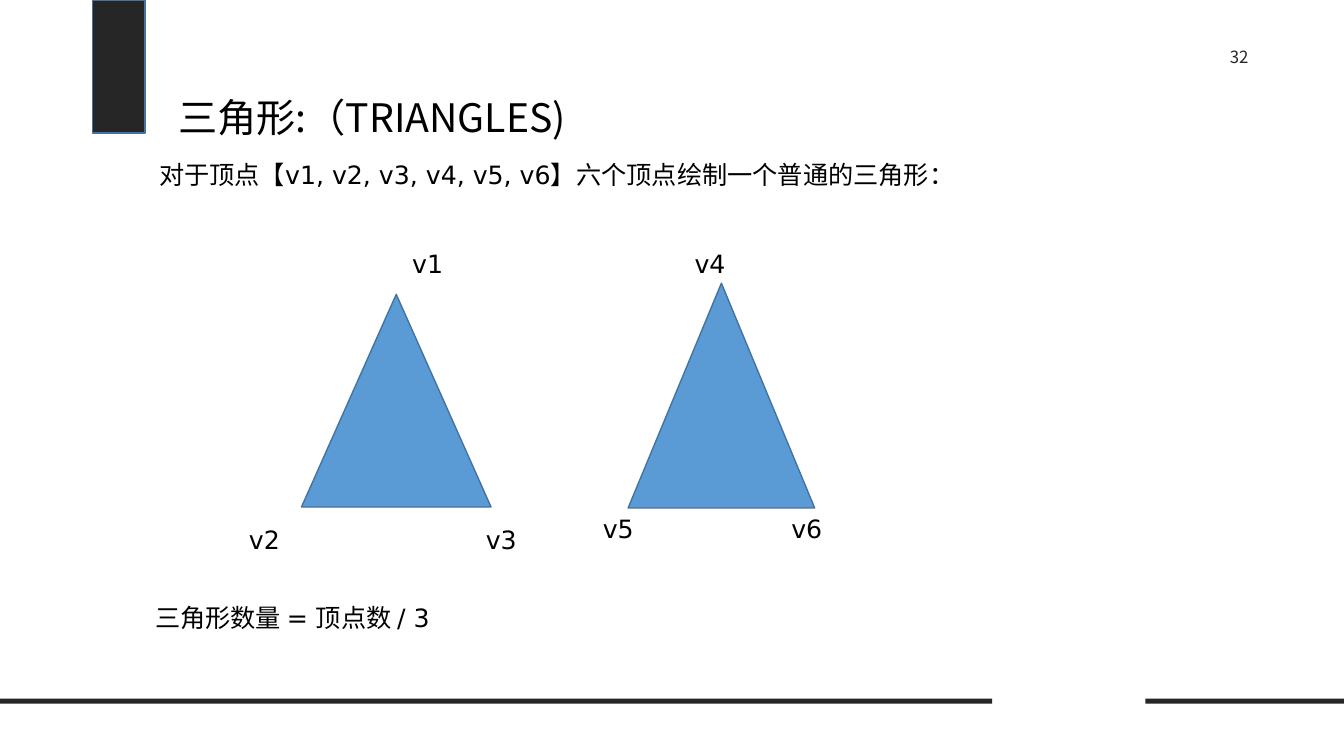
"""Build the slide on drawing separate triangles from six vertices."""
from pptx import Presentation
from pptx.dml.color import RGBColor
from pptx.enum import shapes as sh, text as tx
from pptx.oxml import ns
from pptx.util import Inches, Pt

SANS, CJK = "DejaVu Sans", "Noto Sans CJK SC"
DARK, BLUE, EDGE, BLACK = "262626", "5B9BD5", "43739E", "000000"
TITLE = "三角形:（TRIANGLES)"
BARS = [
    ((0.92, 0, 0.52, 1.32), EDGE),
    ((0, 6.93, 9.84, 0.05), None),
    ((11.36, 6.93, 1.97, 0.05), None),
]
TRIS = [(2.99, 2.92, 1.88, 2.11), (6.23, 2.81, 1.85, 2.23)]
LINES = [
    ("对于顶点【v1, v2, v3, v4, v5, v6】六个顶点绘制一个普通的三角形：", 1.48, 1.53, 8.94),
    ("三角形数量 = 顶点数 / 3", 1.44, 5.93, 7.06),
]
TAGS = [(3.99, 2.41), (2.37, 5.15), (4.72, 5.15),
        (6.79, 2.41), (5.88, 5.04), (7.75, 5.04)]
TAG_W, LINE_H = 0.72, 0.4


def color(code):
    return RGBColor.from_string(code)


def draw(slide, kind, box, fill, edge=None):
    shape = slide.shapes.add_shape(kind, *map(Inches, box))
    shape.shadow.inherit = False
    shape.fill.solid()
    shape.fill.fore_color.rgb = color(fill)
    if edge:
        shape.line.color.rgb = color(edge)
        shape.line.width = Pt(1)
    else:
        shape.line.fill.background()


def write(frame, words, size, face=SANS, tint=BLACK, align=tx.PP_ALIGN.LEFT):
    frame.word_wrap = True
    para = frame.paragraphs[0]
    para.alignment = align
    run = para.add_run()
    run.text = words
    run.font.size = Pt(size)
    run.font.name = face
    run.font.color.rgb = color(tint)
    east = run.font._element.makeelement(ns.qn("a:ea"), {"typeface": CJK})
    run.font._element.append(east)
    return para


def label(slide, words, left, top, width, *style):
    box = slide.shapes.add_textbox(*map(Inches, (left, top, width, LINE_H)))
    write(box.text_frame, words, *style)


def main():
    deck = Presentation()
    deck.slide_width, deck.slide_height = Inches(13.33), Inches(7.5)
    slide = deck.slides.add_slide(deck.slide_layouts[5])

    for box, edge in BARS:
        draw(slide, sh.MSO_SHAPE.RECTANGLE, box, DARK, edge)
    label(slide, "32", 11.84, 0.41, 0.9, 12, CJK, DARK, tx.PP_ALIGN.CENTER)

    title = slide.shapes.title
    title.left, title.top = Inches(1.67), Inches(0.62)
    title.width, title.height = Inches(10), Inches(0.83)
    title.text_frame.auto_size = tx.MSO_AUTO_SIZE.NONE
    title.text_frame.vertical_anchor = tx.MSO_ANCHOR.BOTTOM
    write(title.text_frame, TITLE, 28, CJK).line_spacing = 0.9

    for box in TRIS:
        draw(slide, sh.MSO_SHAPE.ISOSCELES_TRIANGLE, box, BLUE, EDGE)
    for num, (left, top) in enumerate(TAGS, 1):
        label(slide, f"v{num}", left, top, TAG_W, 18)
    for words, left, top, width in LINES:
        label(slide, words, left, top, width, 18)

    deck.save("out.pptx")


if __name__ == "__main__":
    main()
